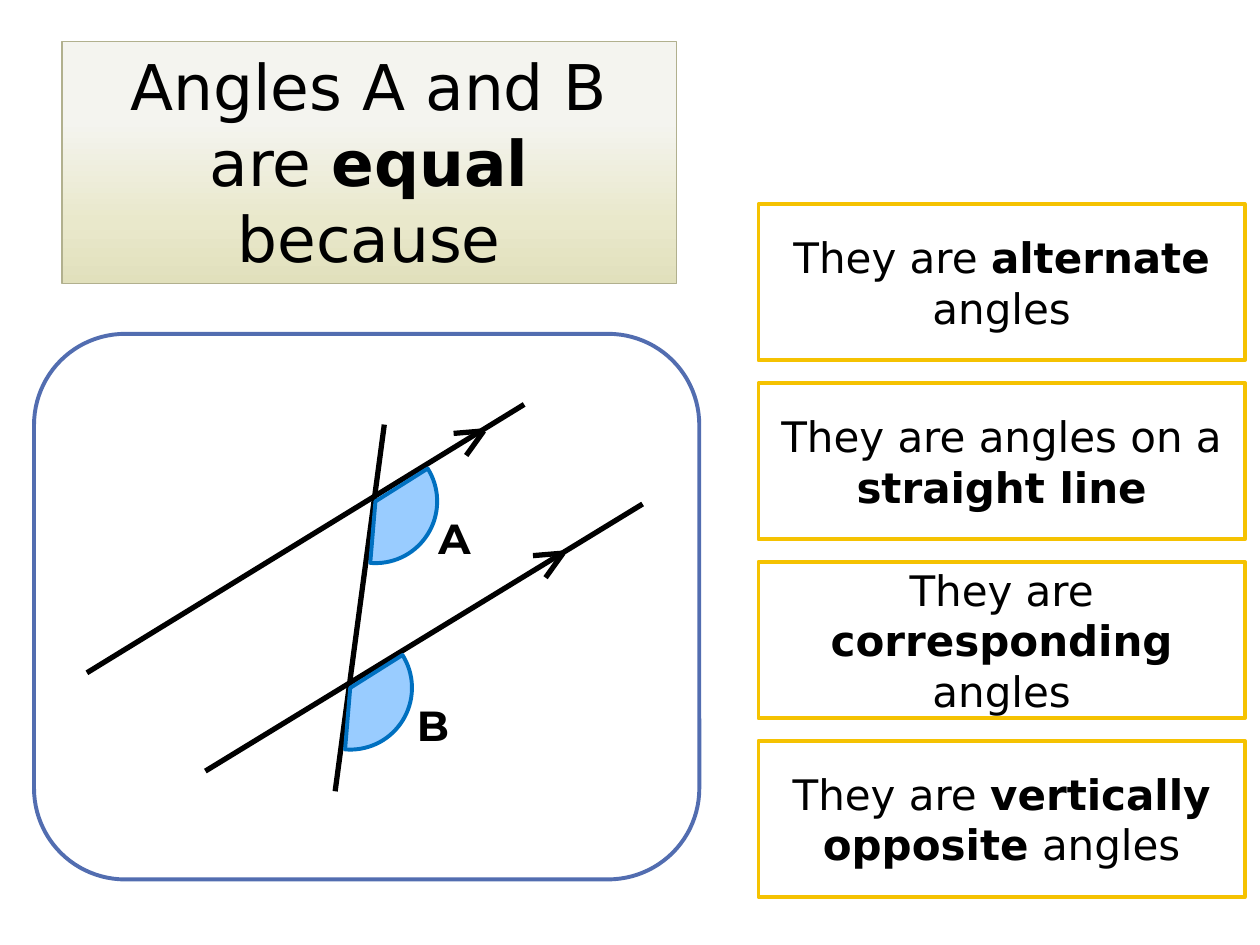
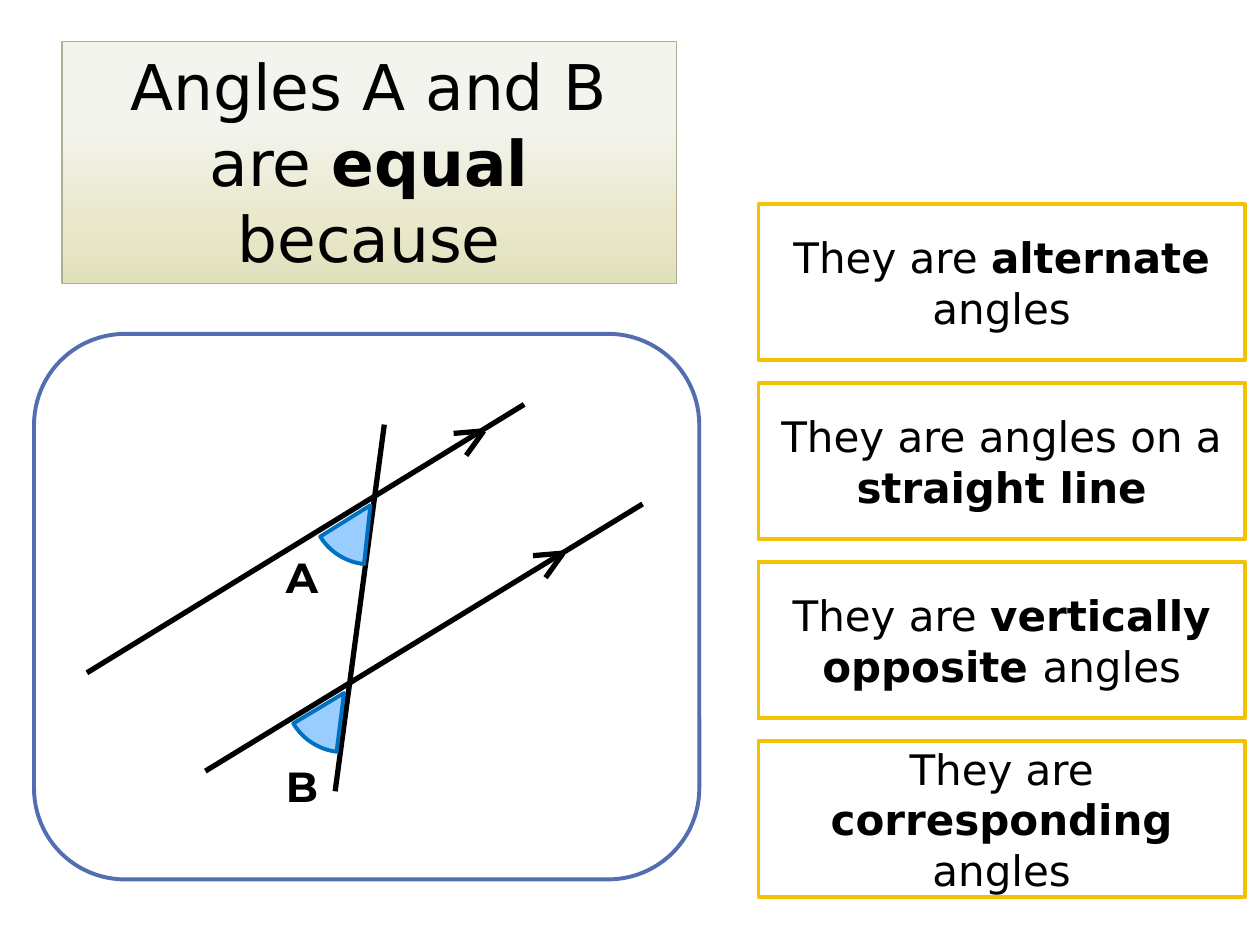
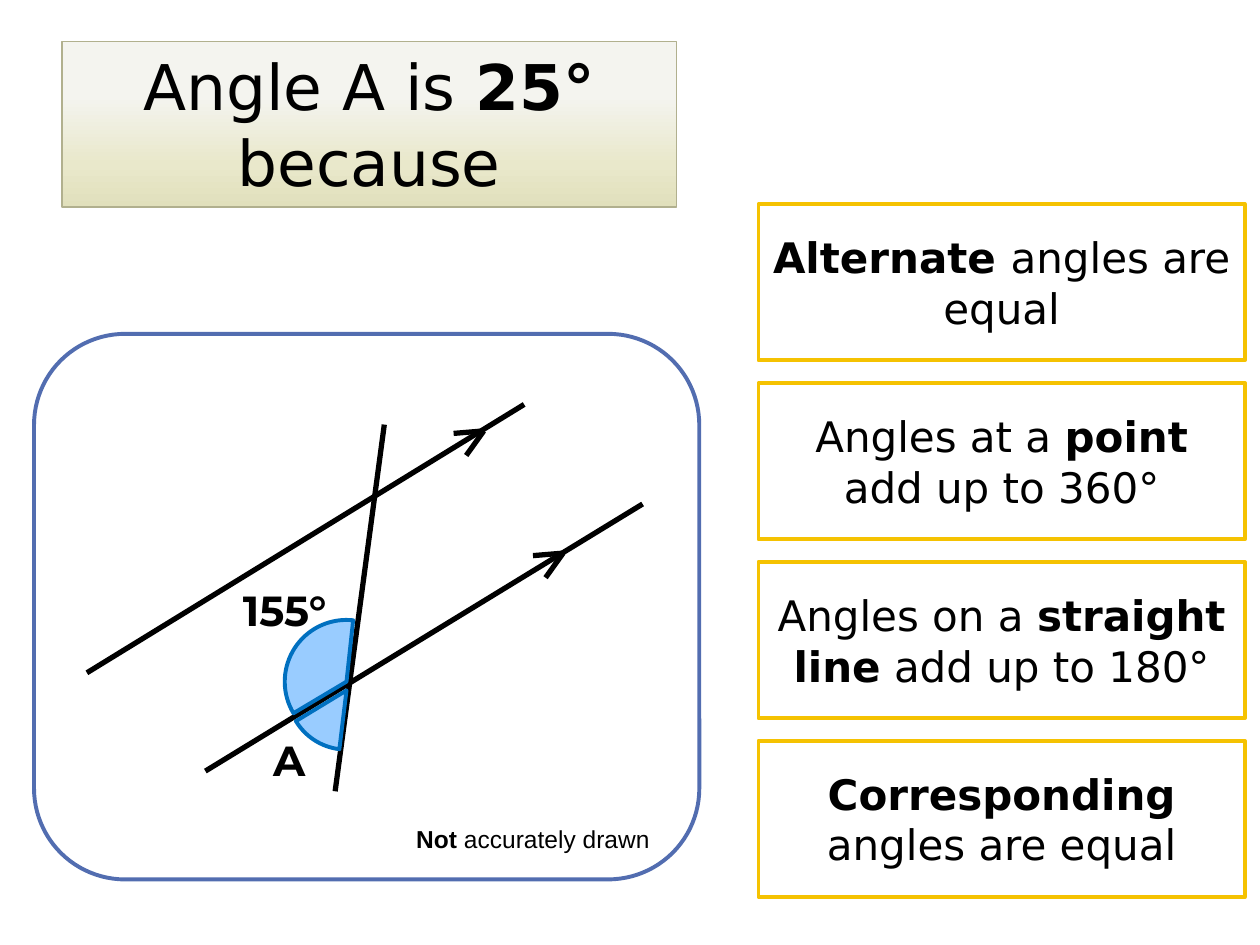
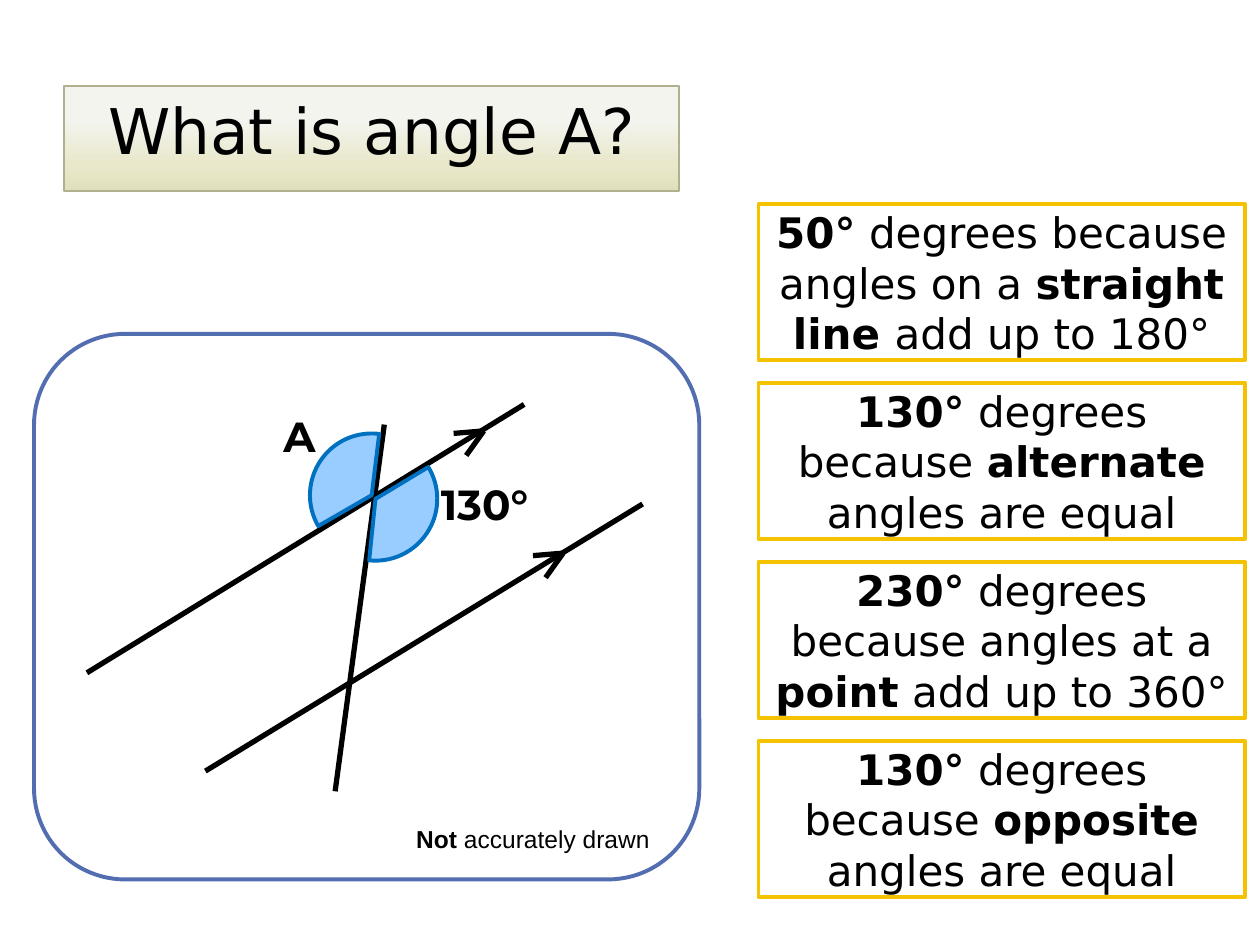
from copy import deepcopy

from lxml.etree import SubElement
from pptx import Presentation
from pptx.dml.color import RGBColor
from pptx.enum.shapes import MSO_CONNECTOR, MSO_SHAPE
from pptx.enum.text import MSO_ANCHOR, MSO_AUTO_SIZE, PP_ALIGN
from pptx.oxml.ns import qn
from pptx.util import Inches, Pt

COLORS = {
    "ink": "000000",
    "paper": "FFFFFF",
    "panel_edge": "526DB0",
    "option_edge": "F5C201",
    "angle": "99CCFF",
    "angle_edge": "0070C0",
    "title_edge": "B1B08E",
}
TITLE_STOPS = [(0, "E1E0BC"), (0.26, "E9E8CB"), (0.67, "F4F4EF")]
COLUMNS, ROWS = 100, 75

OBTUSE = {"size": 9.8, "start": 0, "end": 127}
ACUTE = {"size": 9.4, "start": 3.52, "end": 55.32}

PARALLELS = [((6.9, 53.4), (41.6, 32.1)), ((16.3, 61.2), (51, 40))]
ARROW_TIPS = [(38.4, 34.2), (44.7, 43.9)]
ARROW_BARBS = [(-2.4, 0.2), (-1.4, 1.95)]
TRANSVERSAL = ((30.5, 33.7), (26.6, 62.8))

NOT_TO_SCALE = "**Not** accurately drawn"

QUESTIONS = [
    {
        "title": ("Angles A and B are **equal **because", 4.9, 3.3, 19.2),
        "angles": [(OBTUSE, 24.9, 34.9, 327.8), (OBTUSE, 22.9, 49.7, 327.8)],
        "labels": [("A", 33.8, 40.2, 3.9), ("B", 32.1, 55, 3.9)],
        "options": [
            "They are **alternate** angles",
            "They are angles on a **straight line**",
            "They are **corresponding** angles",
            "They are **vertically opposite** angles",
        ],
    },
    {
        "title": ("Angles A and B are **equal **because", 4.9, 3.3, 19.2),
        "angles": [(ACUTE, 24.7, 35.4, 92.7), (ACUTE, 22.6, 50.3, 93.7)],
        "labels": [("A", 21.7, 43.3, 3.9), ("B", 21.7, 59.9, 3.9)],
        "options": [
            "They are **alternate **angles",
            "They are angles on a **straight line**",
            "They are **vertically opposite **angles",
            "They are **corresponding **angles",
        ],
    },
    {
        "title": ("Angle A is **25°** because", 4.9, 3.3, 13.1),
        "angles": [(OBTUSE, 22.6, 49.2, 149.2), (ACUTE, 22.8, 50.1, 93.4)],
        "labels": [("A", 20.7, 57.8, 3.9), ("155°", 18.3, 45.9, 10.2)],
        "options": [
            "**Alternate **angles are equal",
            "Angles at a **point** add up to 360°",
            "Angles on a **straight line** add up to 180°",
            "**Corresponding** angles are equal",
        ],
        "note": NOT_TO_SCALE,
    },
    {
        "title": ("What is angle A?", 5.1, 6.8, 7.1),
        "angles": [(OBTUSE, 24.6, 34.4, 150), (OBTUSE, 24.9, 34.7, 328.9)],
        "labels": [("130°", 34, 37.5, 10.2), ("A", 21.5, 32.1, 5.1)],
        "options": [
            "**50°** degrees because angles on a **straight line **add up to 180°",
            "**130°** degrees because **alternate **angles are equal",
            "**230°** degrees because angles at a **point** add up to 360°",
            "**130°** degrees because **opposite **angles are equal",
        ],
        "note": NOT_TO_SCALE,
    },
]


def rgb(name):
    return RGBColor.from_string(COLORS[name])


def write(frame, text, size=24, font="DejaVu Sans", align=PP_ALIGN.CENTER,
          anchor=MSO_ANCHOR.TOP, grow=True):
    """Fill a text frame; parts between ** marks are bold."""
    frame.word_wrap = True
    frame.vertical_anchor = anchor
    frame.auto_size = MSO_AUTO_SIZE.SHAPE_TO_FIT_TEXT if grow else MSO_AUTO_SIZE.NONE
    paragraph = frame.paragraphs[0]
    paragraph.alignment = align
    for index, part in enumerate(text.split("**")):
        if part:
            run = paragraph.add_run()
            run.text = part
            run.font.size = Pt(size)
            run.font.name = font
            run.font.bold = index % 2 == 1
            run.font.color.rgb = rgb("ink")


class Quiz:
    """Holds the deck and current slide; lengths are grid columns and rows."""

    def __init__(self):
        self.deck = Presentation()
        self.deck.slide_width, self.deck.slide_height = Inches(10), Inches(7.5)
        self.column = self.deck.slide_width / COLUMNS
        self.row = self.deck.slide_height / ROWS

    def new_slide(self):
        self.slide = self.deck.slides.add_slide(self.deck.slide_layouts[5])

    def place(self, x, y, *size):
        """Turn x, y and an optional width, height into slide lengths."""
        units = (self.column, self.row) * 2
        return [round(value * unit) for value, unit in zip((x, y, *size), units)]

    def title(self, text, x, y, height):
        title = self.slide.shapes.title
        title.left, title.top, title.width, title.height = self.place(x, y, 48.8, height)
        title.fill.gradient()
        stops = title._element.spPr.find(qn("a:gradFill")).find(qn("a:gsLst"))
        stops.append(deepcopy(stops[0]))
        for stop, (position, color) in zip(title.fill.gradient_stops, TITLE_STOPS):
            stop.position = position
            stop.color.rgb = RGBColor.from_string(color)
        title.fill.gradient_angle = 90
        title.line.color.rgb = rgb("title_edge")
        title.line.width = Pt(1)
        write(title.text_frame, text, size=36)

    def shape(self, kind, box, fill, edge):
        shape = self.slide.shapes.add_shape(kind, *self.place(*box))
        shape.shadow.inherit = False
        shape.fill.solid()
        shape.fill.fore_color.rgb = rgb(fill)
        shape.line.color.rgb = rgb(edge)
        shape.line.width = Pt(2.25)
        return shape

    def line(self, shapes, start, end):
        line = shapes.add_connector(
            MSO_CONNECTOR.STRAIGHT, *self.place(*start), *self.place(*end))
        line.line.color.rgb = rgb("ink")
        line.line.width = Pt(3)
        SubElement(line._element.spPr, qn("a:effectLst"))

    def diagram(self):
        """Draw the panel with two parallel lines and their transversal."""
        self.shape(MSO_SHAPE.ROUNDED_RECTANGLE, (2.7, 26.5, 52.8, 43.3),
                   "paper", "panel_edge")
        parallels = self.slide.shapes.add_group_shape().shapes
        for start, end in PARALLELS:
            self.line(parallels, start, end)
        for x, y in ARROW_TIPS:
            for dx, dy in ARROW_BARBS:
                self.line(parallels, (x + dx, y + dy), (x, y))
        self.line(self.slide.shapes, *TRANSVERSAL)

    def angle(self, sector, x, y, rotation):
        size = sector["size"]
        pie = self.shape(MSO_SHAPE.PIE, (x, y, size, size), "angle", "angle_edge")
        # Adjustments count 100000ths, pie angles 60000ths of a degree.
        pie.adjustments[0] = sector["start"] * 0.6
        pie.adjustments[1] = sector["end"] * 0.6
        pie.rotation = rotation

    def label(self, text, x, y, width, height=5, **text_format):
        box = self.slide.shapes.add_textbox(*self.place(x, y, width, height))
        write(box.text_frame, text, **text_format)

    def options(self, answers):
        for index, answer in enumerate(answers):
            option = self.shape(MSO_SHAPE.RECTANGLE,
                                (60.2, 16.2 + 14.2 * index, 38.6, 12.4),
                                "paper", "option_edge")
            write(option.text_frame, answer, anchor=MSO_ANCHOR.MIDDLE, grow=False)


def main():
    quiz = Quiz()
    for question in QUESTIONS:
        quiz.new_slide()
        quiz.title(*question["title"])
        quiz.diagram()
        for angle in question["angles"]:
            quiz.angle(*angle)
        for text, *place in question["labels"]:
            quiz.label(f"**{text}**", *place, font="Montserrat", align=PP_ALIGN.LEFT)
        quiz.options(question["options"])
        if "note" in question:
            quiz.label(question["note"], 31.9, 64.9, 20.8, 3.4, size=14, font="Arial")
    quiz.deck.save("out.pptx")


if __name__ == "__main__":
    main()
